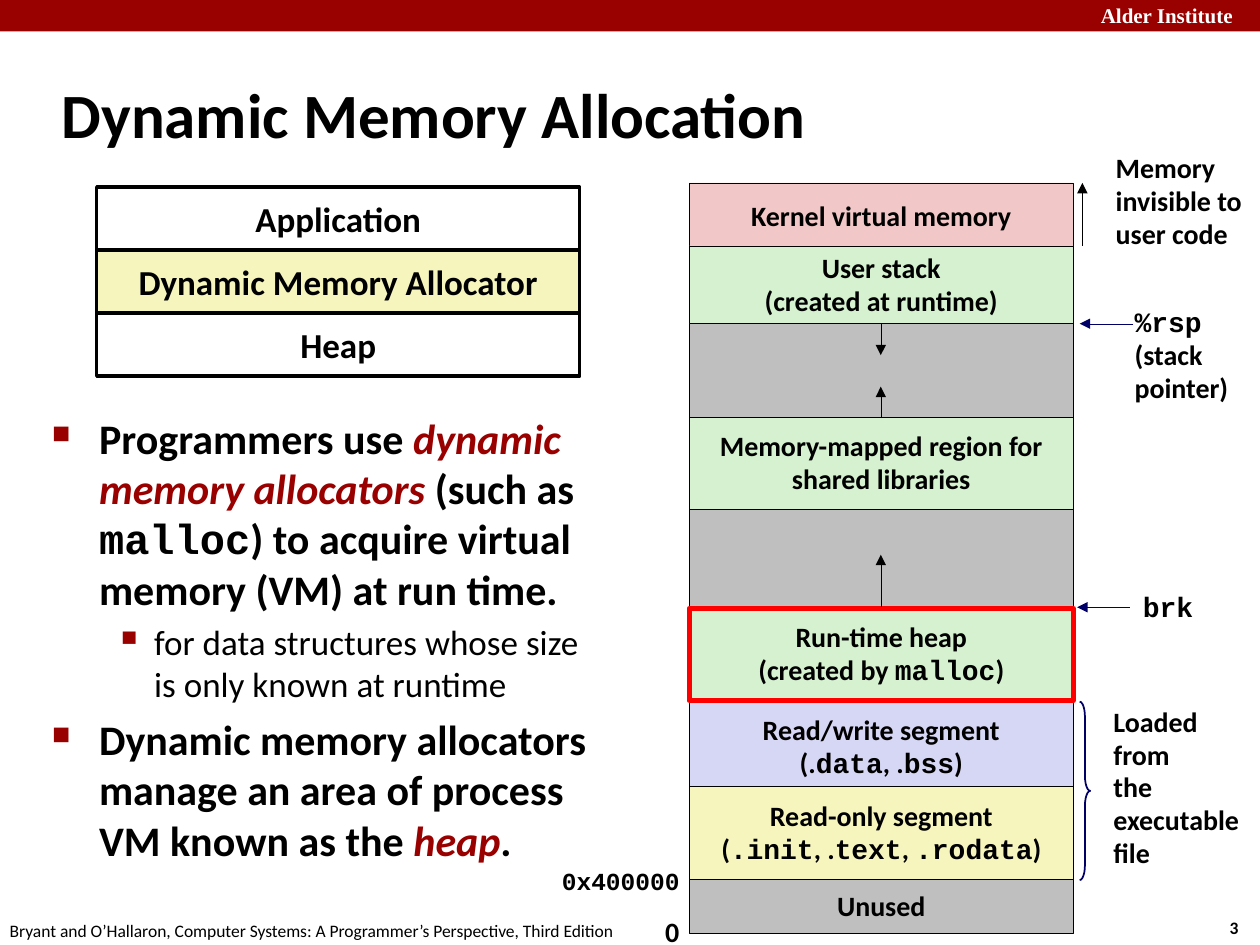
from lxml import etree
from pptx import Presentation
from pptx.dml.color import RGBColor
from pptx.enum.shapes import MSO_CONNECTOR, MSO_SHAPE
from pptx.enum.text import MSO_ANCHOR, PP_ALIGN
from pptx.oxml.ns import qn
from pptx.util import Pt

RECTANGLE = MSO_SHAPE.RECTANGLE
RIGHT_BRACE = MSO_SHAPE.RIGHT_BRACE
STRAIGHT = MSO_CONNECTOR.STRAIGHT
LEFT, CENTER = PP_ALIGN.LEFT, PP_ALIGN.CENTER
TOP, MIDDLE = MSO_ANCHOR.TOP, MSO_ANCHOR.MIDDLE

RED, BLACK, WHITE, NAVY = "990000", "000000", "FFFFFF", "000066"
GREEN, GRAY, YELLOW = "D5F1CF", "BFBFBF", "F6F5BD"
SANS, MONO, SERIF = "Calibri", "Courier New", "Times New Roman"
HAIRLINE = 0.26
TITLE_ONLY = 5


def color(value):
    """Turn a hex string into a colour."""
    return RGBColor.from_string(value)


class MemorySlide:
    """Hold the style and the slide, and draw each kind of element."""

    def __init__(self, presentation):
        """Add a title-only slide to the presentation."""
        self.slide = presentation.slides.add_slide(presentation.slide_layouts[TITLE_ONLY])
        self.shapes = self.slide.shapes

    def fill_paragraph(self, paragraph, text, size=16, bold=True, ink=BLACK, font=SANS,
                       align=LEFT, spacing=None):
        """Fill a paragraph; `code` is monospaced and *terms* are red italics."""
        paragraph.alignment = align
        paragraph.line_spacing = spacing
        paragraph.font.size = Pt(size)
        paragraph.font.bold = bold
        paragraph.font.color.rgb = color(ink)
        paragraph.font.name = font
        for code_index, part in enumerate(text.split("`")):
            for term_index, piece in enumerate(part.split("*")):
                if not piece:
                    continue
                run = paragraph.add_run()
                run.text = piece
                if code_index % 2:
                    run.font.name = MONO
                if term_index % 2:
                    run.font.italic = True
                    run.font.color.rgb = color(RED)

    def lines(self, shape, lines, anchor=TOP, wrap=False, **style):
        """Set one paragraph for each line of text."""
        frame = shape.text_frame
        frame.word_wrap = wrap
        frame.vertical_anchor = anchor
        for index, line in enumerate(lines):
            paragraph = frame.add_paragraph() if index else frame.paragraphs[0]
            self.fill_paragraph(paragraph, line, **style)

    def title(self, text, left, top, width, height):
        """Place and format the title."""
        shape = self.shapes.title
        shape.left, shape.top, shape.width, shape.height = map(Pt, (left, top, width, height))
        self.lines(shape, [text], MIDDLE, True, size=36)

    def text(self, left, top, width, height, *lines, **style):
        """Add a text box."""
        shape = self.shapes.add_textbox(Pt(left), Pt(top), Pt(width), Pt(height))
        self.lines(shape, lines, **style)

    def outline(self, kind, left, top, width, height, fill, line, weight):
        """Add a preset shape with a fill and a line, either of them optional."""
        shape = self.shapes.add_shape(kind, Pt(left), Pt(top), Pt(width), Pt(height))
        shape.shadow.inherit = False
        if fill:
            shape.fill.solid()
            shape.fill.fore_color.rgb = color(fill)
        else:
            shape.fill.background()
        if line:
            shape.line.color.rgb = color(line)
            shape.line.width = Pt(weight)
        else:
            shape.line.fill.background()
        return shape

    def box(self, left, top, width, height, fill, *lines, line=BLACK, weight=HAIRLINE, **style):
        """Add a rectangle with centred text."""
        shape = self.outline(RECTANGLE, left, top, width, height, fill, line, weight)
        self.lines(shape, lines, MIDDLE, align=CENTER, **style)

    def brace(self, left, top, width, height):
        """Add a right brace."""
        shape = self.outline(RIGHT_BRACE, left, top, width, height, None, NAVY, 1)
        shape.adjustments[0] = 1.42

    def arrow(self, start_x, start_y, end_x, end_y, ink=BLACK):
        """Add a thin arrow."""
        connector = self.shapes.add_connector(STRAIGHT, Pt(start_x), Pt(start_y), Pt(end_x), Pt(end_y))
        connector.line.color.rgb = color(ink)
        connector.line.width = Pt(HAIRLINE)
        properties = connector._element.spPr
        etree.SubElement(properties.find(qn("a:ln")), qn("a:tailEnd"), type="triangle")
        etree.SubElement(properties, qn("a:effectLst"))

    def bullets(self, left, top, width, height, items):
        """Add a two-level bulleted list."""
        shape = self.shapes.add_textbox(Pt(left), Pt(top), Pt(width), Pt(height))
        frame = shape.text_frame
        frame.word_wrap = True
        levels = ((24, True, 27, 27, "■", 60), (20, False, 58.5, 22.5, "▪", 110))
        for index, (level, text) in enumerate(items):
            size, bold, margin, hanging, character, percent = levels[level]
            paragraph = frame.add_paragraph() if index else frame.paragraphs[0]
            paragraph.level = level
            self.fill_paragraph(paragraph, text, size=size, bold=bold)
            paragraph.space_before = Pt(size * 0.2)
            properties = paragraph._p.get_or_add_pPr()
            properties.set("marL", str(Pt(margin)))
            properties.set("indent", str(-Pt(hanging)))
            bullet_color = etree.Element(qn("a:buClr"))
            etree.SubElement(bullet_color, qn("a:srgbClr"), val=RED)
            bullet_size = etree.Element(qn("a:buSzPct"), val=str(percent * 1000))
            bullet = etree.Element(qn("a:buChar"), char=character)
            defaults = properties.find(qn("a:defRPr"))
            for element in (bullet_color, bullet_size, bullet):
                defaults.addprevious(element)


presentation = Presentation()
presentation.slide_width, presentation.slide_height = Pt(720), Pt(540)
memory = MemorySlide(presentation)

memory.box(0, 0, 720, 18, RED, line=None)
memory.text(622, -2, 103, 22, "Alder Institute", size=12, ink=WHITE, font=SERIF)
memory.text(695.5, 520.5, 27, 19.5, "3", size=10)
memory.text(-1.5, 522, 366, 19.5,
            "Bryant and O’Hallaron, Computer Systems: A Programmer’s Perspective, Third Edition",
            size=10, bold=False)
memory.title("Dynamic Memory Allocation", 28, 34.5, 598, 60)
memory.bullets(22.5, 232, 322.5, 300, [
    (0, "Programmers use *dynamic memory allocators *(such as `malloc`) "
        "to acquire virtual memory (VM) at run time."),
    (1, "for data structures whose size is only known at runtime"),
    (0, "Dynamic memory allocators manage an area of process VM known as the *heap*."),
])

layers = (("Application", WHITE), ("Dynamic Memory Allocator", YELLOW), ("Heap", WHITE))
for index, (name, fill) in enumerate(layers):
    memory.box(55.25, 107 + 36 * index, 276, 36, fill, name, weight=2, size=20)

MAP_LEFT, MAP_WIDTH = 393.8, 219.6
regions = (
    (104.5, 38, "F1C7C7", ["Kernel virtual memory"]),
    (238.5, 52.5, GREEN, ["Memory-mapped region for", "shared libraries"]),
    (291, 57, GRAY, []),
    (167, 71.5, GRAY, []),
    (140.5, 44.5, GREEN, ["User stack", "(created at runtime)"]),
    (502.5, 31, GRAY, ["Unused"]),
    (400.5, 52.5, "D6D6F5", ["Read/write segment", "(.`data`, .`bss`)"]),
    (449.5, 53, YELLOW, ["Read-only segment", "(`.init`, .`text`, `.rodata`)"]),
)
for top, height, fill, lines in regions:
    memory.box(MAP_LEFT, top, MAP_WIDTH, height, fill, *lines, spacing=0.98)
memory.box(MAP_LEFT, 347.75, MAP_WIDTH, 52.5, GREEN, "Run-time heap", "(created by `malloc`)",
           line="FF0000", weight=3, spacing=0.98)

for x, start, end in ((503.3, 347, 317), (503.3, 239, 221), (503.3, 185, 203), (618.5, 140.5, 104.5)):
    memory.arrow(x, start, x, end)
for start, end, y in ((647.5, 617, 185), (645.5, 615.5, 347)):
    memory.arrow(start, y, end, y, NAVY)
memory.brace(617, 401, 6, 102)

labels = (
    (630.5, 83.5, 91, 64, ["Memory", "invisible to", "user code"]),
    (641.3, 171.5, 68.5, 63, ["`%rsp`", "(stack", "pointer)"]),
    (646, 334, 43, 26, ["`brk`"]),
    (629.2, 399.8, 91, 102, ["Loaded", "from", "the", "executable", "file"]),
    (373, 520, 22, 26.5, ["0"]),
)
for left, top, width, height, lines in labels:
    memory.text(left, top, width, height, *lines, spacing=0.98)
memory.text(314, 492.5, 82, 24, "0x400000", size=14, font=MONO, spacing=0.94)

presentation.save("out.pptx")
